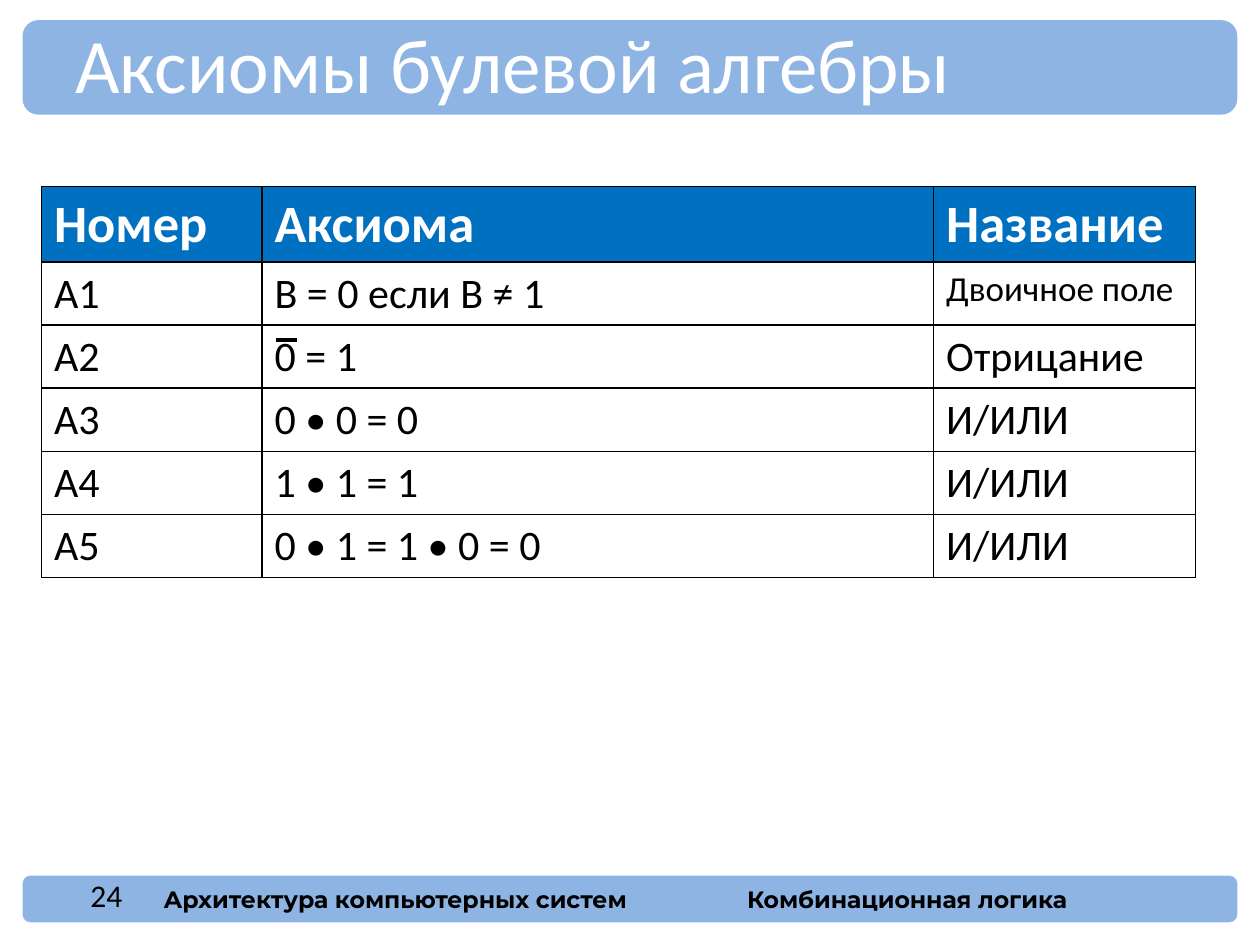
from dataclasses import dataclass

from lxml import etree
from pptx import Presentation, util as u
from pptx.dml.color import RGBColor
from pptx.enum import shapes, text
from pptx.oxml.ns import qn


@dataclass(frozen=True)
class Theme:
    bar: str = "8EB4E3"
    header: str = "0070C0"
    light: str = "FFFFFF"
    dark: str = "000000"
    body_font: str = "Calibri"
    footer_font: str = "Montserrat"
    title: float = 44
    head: float = 30
    body: float = 24
    small: float = 20
    number: float = 18
    footer: float = 13.5


class Deck:
    """Places elements on a grid of 100 columns by 75 rows."""

    COLS, ROWS = 100, 75

    def __init__(self, theme):
        self.theme = theme
        self.prs = Presentation()
        self.prs.slide_width, self.prs.slide_height = u.Inches(10), u.Inches(7.5)
        self.s = self.prs.slides.add_slide(self.prs.slide_layouts[6])

    def x(self, cols):
        return u.Emu(round(self.prs.slide_width * cols / self.COLS))

    def y(self, rows):
        return u.Emu(round(self.prs.slide_height * rows / self.ROWS))

    def box(self, left, top, width, height):
        return self.x(left), self.y(top), self.x(width), self.y(height)

    def add_words(self, p, words, color, **style):
        r = p.add_run()
        r.text = words
        r.font.color.rgb = RGBColor.from_string(color)
        for name, value in {"name": self.theme.body_font, "bold": False, **style}.items():
            setattr(r.font, name, value)

    def bar(self, *at):
        sp = self.s.shapes.add_shape(shapes.MSO_SHAPE.ROUNDED_RECTANGLE, *self.box(*at))
        sp.shadow.inherit = False
        sp.fill.solid()
        sp.fill.fore_color.rgb = RGBColor.from_string(self.theme.bar)
        sp.line.fill.background()

    def label(self, at, words, color, align=text.PP_ALIGN.LEFT, **style):
        tf = self.s.shapes.add_textbox(*self.box(*at)).text_frame
        tf.word_wrap = True
        tf.vertical_anchor = text.MSO_ANCHOR.MIDDLE
        tf.paragraphs[0].alignment = align
        self.add_words(tf.paragraphs[0], words, color, **style)

    def border(self, cell):
        tc_pr = cell._tc.get_or_add_tcPr()
        for i, side in enumerate(("lnL", "lnR", "lnT", "lnB")):
            ln = etree.Element(qn(f"a:{side}"), w=str(u.Pt(1)))
            fill = etree.SubElement(ln, qn("a:solidFill"))
            etree.SubElement(fill, qn("a:srgbClr"), val=self.theme.dark)
            tc_pr.insert(i, ln)

    def table(self, left, top, widths, heights, rows, sizes):
        t = self.theme
        at = self.box(left, top, sum(widths), sum(heights))
        table = self.s.shapes.add_table(len(rows), len(widths), *at).table
        for column, width in zip(table.columns, widths):
            column.width = self.x(width)
        for i, (row, height) in enumerate(zip(rows, heights)):
            table.rows[i].height = self.y(height)
            fill, color, size = (t.light, t.dark, t.body) if i else (t.header, t.light, t.head)
            for j, words in enumerate(row):
                cell = table.cell(i, j)
                cell.fill.solid()
                cell.fill.fore_color.rgb = RGBColor.from_string(fill)
                self.border(cell)
                self.add_words(cell.text_frame.paragraphs[0], words, color,
                               size=u.Pt(sizes.get(words, size)), bold=i == 0)

    def line(self, x1, y1, x2, y2, width):
        c = self.s.shapes.add_connector(shapes.MSO_CONNECTOR.STRAIGHT,
                                        self.x(x1), self.y(y1), self.x(x2), self.y(y2))
        c.line.color.rgb = RGBColor.from_string(self.theme.dark)
        c.line.width = u.Pt(width)
        etree.SubElement(c._element.spPr, qn("a:effectLst"))


def main():
    t = Theme()
    d = Deck(t)

    # Title and footer bars
    d.bar(1.8, 69.5, 96.4, 3.7)
    d.bar(1.8, 1.6, 96.4, 7.5)

    # Footer and title text
    footer = {"name": t.footer_font, "size": u.Pt(t.footer), "bold": True}
    d.label((12, 69.7, 44.4, 3.3), "Архитектура компьютерных систем", t.dark, **footer)
    d.label((46.7, 69.7, 50.6, 3.3), "Комбинационная логика", t.dark,
            text.PP_ALIGN.CENTER, **footer)
    d.label((5, 0.8, 86.7, 8.4), "Аксиомы булевой алгебры", t.light, size=u.Pt(t.title))

    # Axiom table
    rows = [
        ("Номер", "Аксиома", "Название"),
        ("A1", "B = 0 если B ≠ 1", "Двоичное поле"),
        ("A2", "0 = 1", "Отрицание"),
        ("A3", "0 • 0 = 0", "И/ИЛИ"),
        ("A4", "1 • 1 = 1", "И/ИЛИ"),
        ("A5", "0 • 1 = 1 • 0 = 0", "И/ИЛИ"),
    ]
    d.table(3.3, 14.8, (17.5, 53.3, 20.8), [6] + [5] * 5, rows,
            {"Двоичное поле": t.small})

    # Negation bar over the zero in A2
    d.line(21.9, 27, 23.6, 27, 2)

    # Slide number
    d.label((2, 69.1, 8.7, 3.9), "24", t.dark, text.PP_ALIGN.RIGHT, size=u.Pt(t.number))

    d.prs.save("out.pptx")


if __name__ == "__main__":
    main()
